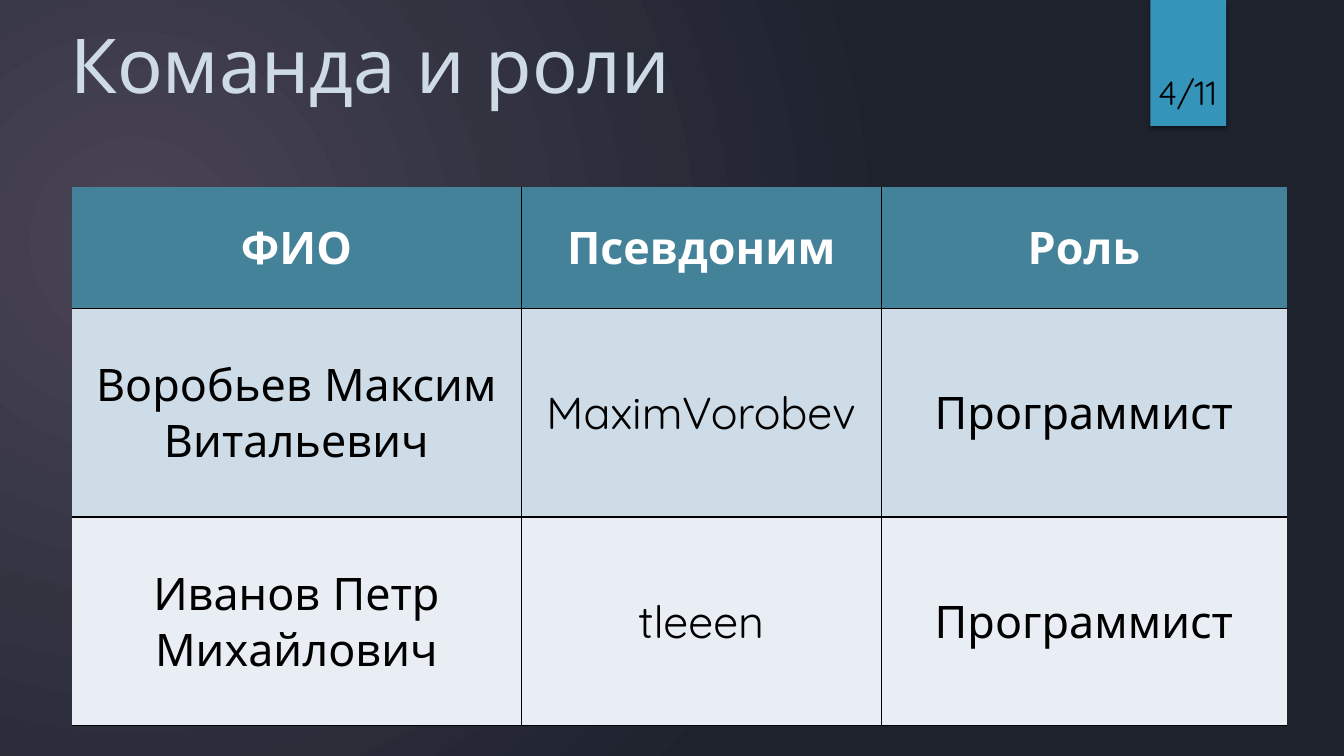
from lxml import etree
from pptx import Presentation
from pptx import util as u
from pptx.dml import color
from pptx.enum import shapes, text
from pptx.oxml import ns

COLORS = {
    "glow": "7FC1DB", "ribbon": "3494BA", "title": "CEDBE6",
    "header": "44829A", "band": "CEDCE7", "plain": "E8EEF3",
    "white": "FFFFFF", "black": "000000",
    "center": "494454", "edge": "1D222D",
}
FONT = "Quicksand"
TEAM = [
    ["ФИО", "Псевдоним", "Роль"],
    ["Воробьев Максим Витальевич", "MaximVorobev", "Программист"],
    ["Иванов Петр Михайлович", "tleeen", "Программист"],
]


def element(tag, parent=None, **attributes):
    name = ns.qn(f"a:{tag}")
    values = {key: str(value) for key, value in attributes.items()}
    if parent is None:
        return etree.Element(name, values)
    return etree.SubElement(parent, name, values)


def add_color(parent, name, alpha=100):
    node = element("srgbClr", parent, val=COLORS[name])
    if alpha < 100:
        element("alpha", node, val=alpha * 1000)


class Deck:
    def __init__(self, width, height):
        self.presentation = Presentation()
        self.presentation.slide_width = u.Inches(width)
        self.presentation.slide_height = u.Inches(height)
        self.slide = self.presentation.slides.add_slide(self.presentation.slide_layouts[6])

    def across(self, percent):
        return round(self.presentation.slide_width * percent / 100)

    def down(self, percent):
        return round(self.presentation.slide_height * percent / 100)

    def box(self, left, top, width, height):
        return self.across(left), self.down(top), self.across(width), self.down(height)

    def radial(self, owner, stops, sides):
        solid = owner.xpath(".//a:solidFill")[0]
        gradient = element("gradFill", rotWithShape=1)
        stop_list = element("gsLst", gradient)
        for position, name, alpha in stops:
            add_color(element("gs", stop_list, pos=position * 1000), name, alpha)
        circle = element("path", gradient, path="circle")
        element("fillToRect", circle, **{side: value * 1000 for side, value in zip("ltrb", sides)})
        solid.getparent().replace(solid, gradient)

    def background(self, stops, sides):
        self.slide.background.fill.solid()
        self.radial(self.slide.element, stops, sides)

    def shape(self, kind, place, fill):
        shape = self.slide.shapes.add_shape(kind, *self.box(*place))
        shape.shadow.inherit = False
        shape.fill.solid()
        shape.fill.fore_color.rgb = color.RGBColor.from_string(COLORS[fill])
        shape.line.fill.background()
        return shape

    def drop_shadow(self, shape, blur, distance, alpha):
        effects = shape.element.xpath(".//a:effectLst")[0]
        shadow = element("outerShdw", effects, blurRad=u.Pt(blur), dist=u.Pt(distance),
                         dir=90 * 60000, rotWithShape=0)
        add_color(shadow, "black", alpha)

    def add_words(self, frame, words, ink, align=text.PP_ALIGN.CENTER, **style):
        paragraph = frame.paragraphs[0]
        paragraph.alignment = align
        run = paragraph.add_run()
        run.text = words
        for key, value in {"name": FONT, **style}.items():
            setattr(run.font, key, value)
        run.font.color.rgb = color.RGBColor.from_string(COLORS[ink])

    def label(self, place, words, ink, anchor, **style):
        frame = self.slide.shapes.add_textbox(*self.box(*place)).text_frame
        frame.word_wrap = True
        frame.vertical_anchor = anchor
        self.add_words(frame, words, ink, **style)

    def borders(self, cell, visible):
        properties = cell._tc.get_or_add_tcPr()
        for index, side in enumerate("LRTB"):
            line = element(f"ln{side}", w=u.Pt(1))
            if side in visible:
                add_color(element("solidFill", line), "black")
            else:
                element("noFill", line)
            properties.insert(index, line)

    def table(self, left, top, widths, heights, rows, fills, inks, **style):
        place = self.box(left, top, sum(widths), sum(heights))
        table = self.slide.shapes.add_table(len(rows), len(widths), *place).table
        table.horz_banding = False
        for column, width in zip(table.columns, widths):
            column.width = self.across(width)
        for row, height in zip(table.rows, heights):
            row.height = self.down(height)
        for r, row in enumerate(rows):
            for c, words in enumerate(row):
                cell = table.cell(r, c)
                cell.vertical_anchor = text.MSO_ANCHOR.MIDDLE
                cell.fill.solid()
                cell.fill.fore_color.rgb = color.RGBColor.from_string(COLORS[fills[r]])
                self.add_words(cell.text_frame, words, inks[r], bold=r == 0, **style)
                visible = "B" + "L" * (c > 0) + "R" * (c < len(row) - 1) + "T" * (r > 0)
                self.borders(cell, visible)


def main():
    deck = Deck(13.33, 7.5)
    deck.background([(0, "center", 100), (100, "edge", 100)], (45, 65, 125, 100))
    glow = deck.shape(shapes.MSO_SHAPE.OVAL, (70.59, 24.4, 23.1, 41.07), "glow")
    deck.radial(glow.element, [(0, "glow", 7), (36, "glow", 6), (69, "glow", 0)], (50,) * 4)
    ribbon = deck.shape(shapes.MSO_SHAPE.RECTANGLE, (85.6, 0, 5.63, 16.67), "ribbon")
    deck.drop_shadow(ribbon, 3, 2, 45)
    deck.label((4.5, 1.73, 77.2, 20.4), "Команда и роли", "title", text.MSO_ANCHOR.TOP,
               align=text.PP_ALIGN.LEFT, size=u.Pt(54))
    deck.table(5.33, 24.8, (33.46, 26.78, 30.16), (16, 27.6, 27.6), TEAM,
               ("header", "band", "plain"), ("white", "black", "black"), size=u.Pt(32))
    deck.label((84.92, 4.27, 6.9, 11.2), "4/11", "black", text.MSO_ANCHOR.BOTTOM, size=u.Pt(24))
    deck.presentation.save("out.pptx")


if __name__ == "__main__":
    main()
